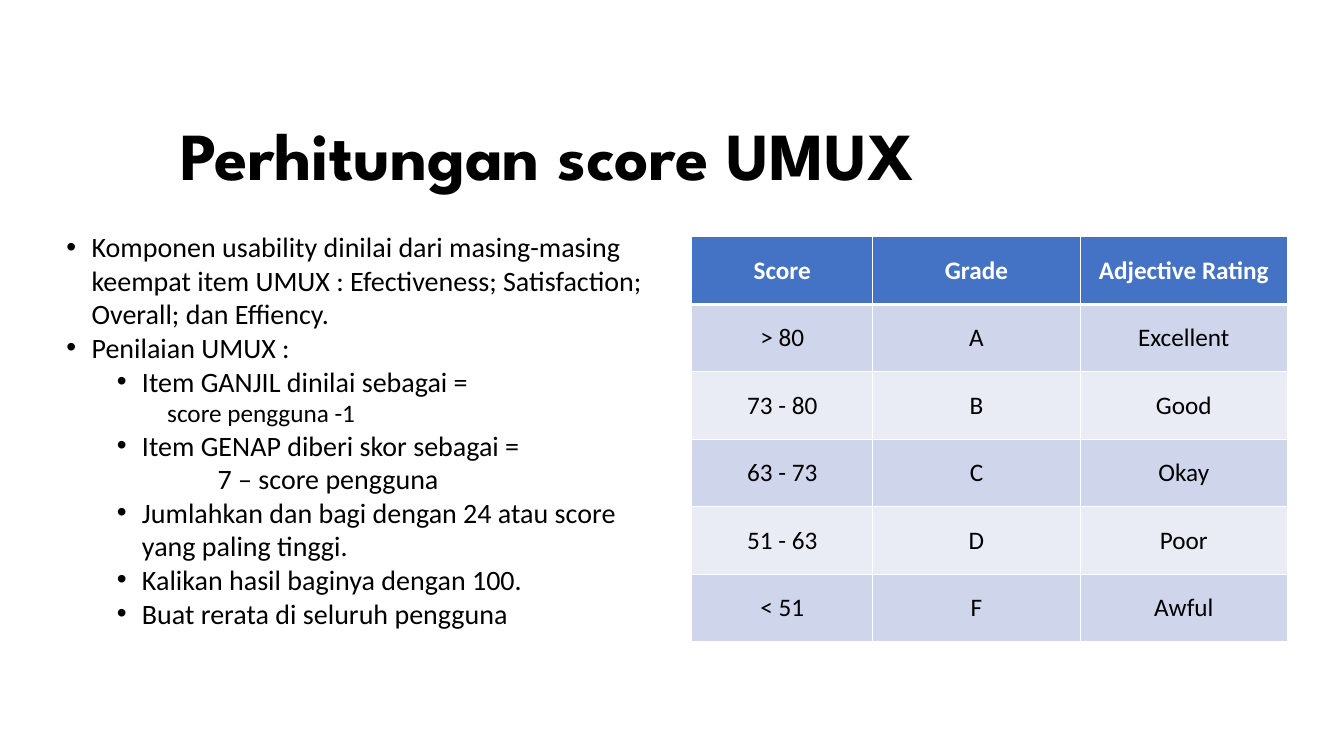
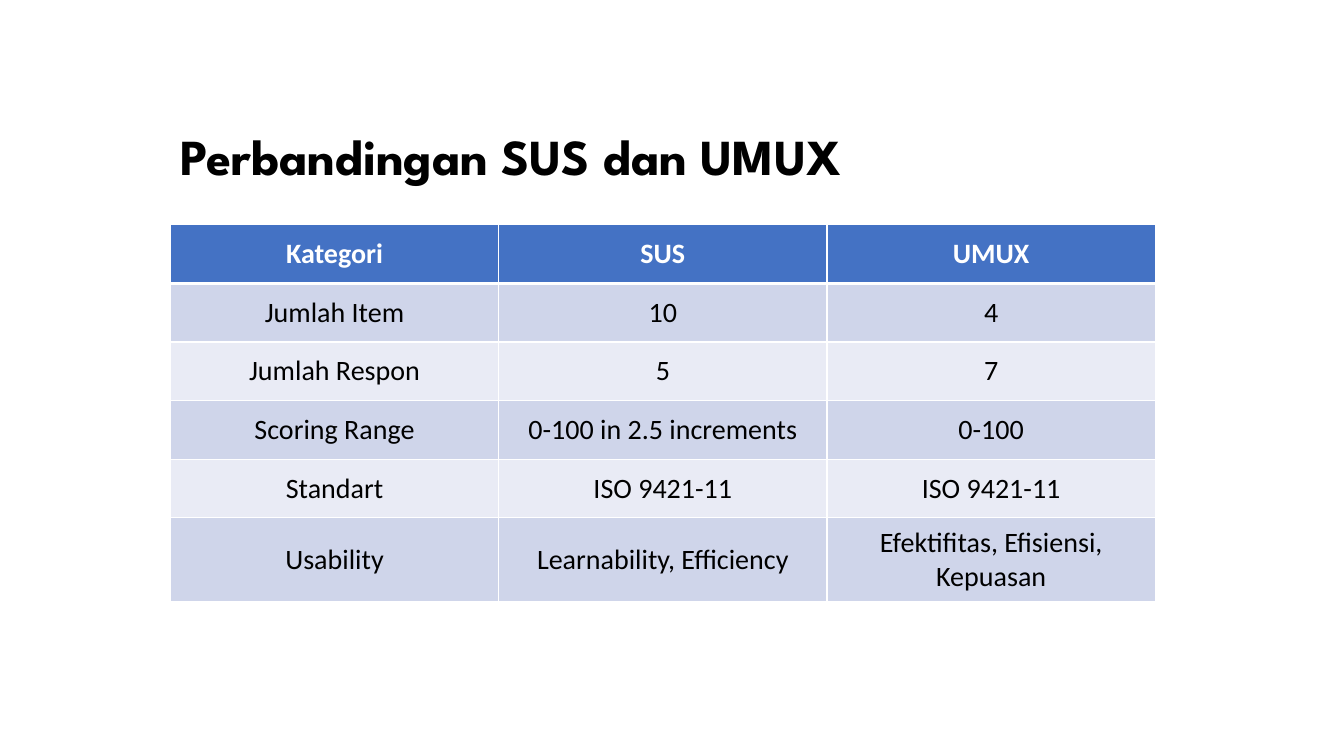
from lxml import etree
from pptx import Presentation
from pptx import util as u
from pptx.dml.color import RGBColor
from pptx.enum import text
from pptx.oxml.ns import qn

WIDTH, HEIGHT = 13.33, 7.5
TITLE_BOX = (1.69, 1.13, 10.66, 0.89)
TITLE_FONT, BODY_FONT = "League Spartan", "Calibri"
BLACK, WHITE = "000000", "FFFFFF"
HEADER_FILL = "4472C4"
BAND_FILLS = ("CFD5EA", "E9EBF5")
THIN, THICK = 1, 3
BULLET_HANG = 0.25

# Left indent in inches, bulleted, text size, wording
SCORING_STEPS = [
    (0.25, True, 20, "Komponen usability dinilai dari masing-masing keempat item "
                     "UMUX : Efectiveness; Satisfaction; Overall; dan Effiency."),
    (0.25, True, 20, "Penilaian UMUX :"),
    (0.75, True, 20, "Item GANJIL dinilai sebagai ="),
    (1, False, 18, "score pengguna -1"),
    (0.75, True, 20, "Item GENAP diberi skor sebagai ="),
    (1.5, False, 20, "7 – score pengguna"),
    (0.75, True, 20, "Jumlahkan dan bagi dengan 24 atau score yang paling tinggi."),
    (0.75, True, 20, "Kalikan hasil baginya dengan 100."),
    (0.75, True, 20, "Buat rerata di seluruh pengguna"),
]
GRADES = [
    ("Score", "Grade", "Adjective Rating"),
    ("> 80", "A", "Excellent"),
    ("73 - 80", "B", "Good"),
    ("63 - 73", "C", "Okay"),
    ("51 - 63", "D", "Poor"),
    ("< 51", "F", "Awful"),
]
COMPARISON = [
    ("Kategori", "SUS", "UMUX"),
    ("Jumlah Item", "10", "4"),
    ("Jumlah Respon", "5", "7"),
    ("Scoring Range", "0-100 in 2.5 increments", "0-100"),
    ("Standart", "ISO 9421-11", "ISO 9421-11"),
    ("Usability", "Learnability, Efficiency", "Efektifitas, Efisiensi, Kepuasan"),
]


def rgb(value):
    return RGBColor.from_string(value)


def inches(box):
    return [u.Inches(length) for length in box]


def style_runs(paragraph, font_name, size, color=BLACK, bold=False):
    for run in paragraph.runs:
        run.font.name = font_name
        run.font.size = u.Pt(size)
        run.font.bold = bold
        run.font.color.rgb = rgb(color)


def add_text_frame(slide, box):
    frame = slide.shapes.add_textbox(*inches(box)).text_frame
    frame.word_wrap = True
    return frame


def add_titled_slide(presentation, title, size):
    slide = presentation.slides.add_slide(presentation.slide_layouts[6])
    frame = add_text_frame(slide, TITLE_BOX)
    frame.vertical_anchor = text.MSO_ANCHOR.MIDDLE
    paragraph = frame.paragraphs[0]
    paragraph.text = title
    paragraph.line_spacing = 0.9
    style_runs(paragraph, TITLE_FONT, size, bold=True)
    return slide


def indent(paragraph, left, bulleted):
    properties = paragraph._p.get_or_add_pPr()
    properties.set("marL", str(u.Inches(left)))
    properties.set("indent", str(u.Inches(-BULLET_HANG if bulleted else 0)))
    if bulleted:
        etree.SubElement(properties, qn("a:buFont"), typeface="Arial")
        etree.SubElement(properties, qn("a:buChar"), char="•")


def add_bullets(slide, box, items):
    frame = add_text_frame(slide, box)
    for index, (left, bulleted, size, wording) in enumerate(items):
        paragraph = frame.add_paragraph() if index else frame.paragraphs[0]
        paragraph.text = wording
        indent(paragraph, left, bulleted)
        style_runs(paragraph, BODY_FONT, size)


def add_borders(cell, top, bottom):
    """Draw white cell borders; top and bottom are widths in points."""
    properties = cell._tc.get_or_add_tcPr()
    for side, width in (("L", THIN), ("R", THIN), ("T", top), ("B", bottom)):
        line = etree.SubElement(properties, qn(f"a:ln{side}"), w=str(u.Pt(width)))
        fill = etree.SubElement(line, qn("a:solidFill"))
        etree.SubElement(fill, qn("a:srgbClr"), val=WHITE)


def format_cell(cell, row, size):
    header = row == 0
    add_borders(cell, THICK if row == 1 else THIN, THICK if header else THIN)
    cell.fill.solid()
    cell.fill.fore_color.rgb = rgb(HEADER_FILL if header else BAND_FILLS[(row - 1) % 2])
    cell.vertical_anchor = text.MSO_ANCHOR.MIDDLE
    paragraph = cell.text_frame.paragraphs[0]
    paragraph.alignment = text.PP_ALIGN.CENTER
    style_runs(paragraph, BODY_FONT, size, WHITE if header else BLACK, header)


def add_banded_table(slide, box, rows, column_shares, row_shares, size):
    """Divide the box by the given shares and fill it with centred cells."""
    frame = slide.shapes.add_table(len(rows), len(rows[0]), *inches(box))
    table = frame.table
    for column, share in zip(table.columns, column_shares):
        column.width = u.Inches(box[2] * share / sum(column_shares))
    for row, share in zip(table.rows, row_shares):
        row.height = u.Inches(box[3] * share / sum(row_shares))
    for row, values in enumerate(rows):
        for column, value in enumerate(values):
            cell = table.cell(row, column)
            cell.text_frame.text = value
            format_cell(cell, row, size)


def build_scoring_slide(presentation):
    slide = add_titled_slide(presentation, "Perhitungan score UMUX", 48)
    add_bullets(slide, (0.56, 2.23, 5.91, 4.56), SCORING_STEPS)
    add_banded_table(slide, (6.86, 2.35, 5.91, 4.02), GRADES,
                     (1.8, 2.06, 2.06), (1,) * len(GRADES), 18)


def build_comparison_slide(presentation):
    slide = add_titled_slide(presentation, "Perbandingan SUS dan UMUX", 36)
    add_banded_table(slide, (1.69, 2.23, 9.77, 3.74), COMPARISON,
                     (1, 1, 1), (0.58,) * 5 + (0.83,), 20)


def main():
    presentation = Presentation()
    presentation.slide_width = u.Inches(WIDTH)
    presentation.slide_height = u.Inches(HEIGHT)
    build_scoring_slide(presentation)
    build_comparison_slide(presentation)
    presentation.save("out.pptx")


if __name__ == "__main__":
    main()
